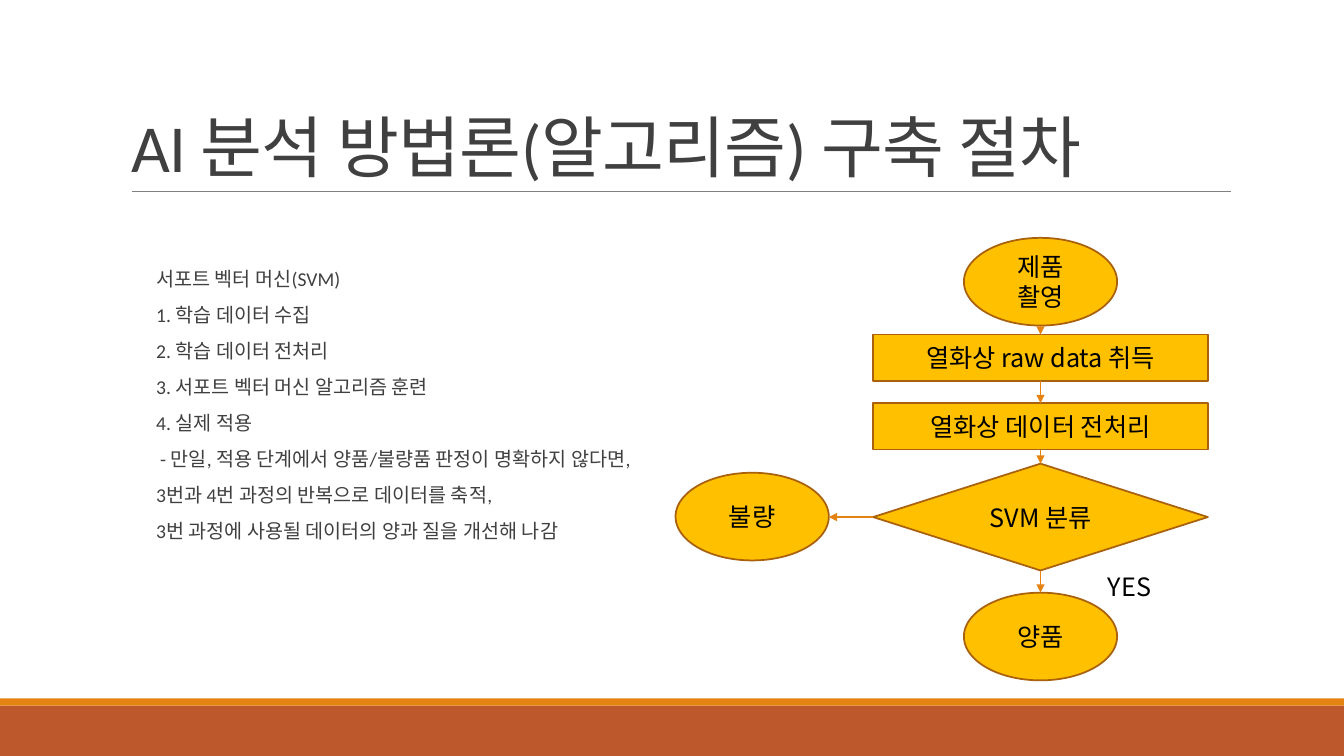
from lxml import etree
from pptx import Presentation
from pptx import util as u
from pptx.dml.color import RGBColor
from pptx.enum import shapes, text
from pptx.oxml.ns import qn

HUES = {"rust": "BD582C", "orange": "E48312", "gold": "FFC000", "edge": "A9610D",
        "rule": "808080", "ink": "404040", "black": "000000"}
LATIN, KOREAN = "Calibri", "Noto Sans CJK KR"
MID = 10.32
KIND = shapes.MSO_SHAPE
STEPS = [
    "서포트 벡터 머신(SVM)",
    "1. 학습 데이터 수집",
    "2. 학습 데이터 전처리",
    "3. 서포트 벡터 머신 알고리즘 훈련",
    "4. 실제 적용",
    "- 만일, 적용 단계에서 양품/불량품 판정이 명확하지 않다면,",
    "3번과 4번 과정의 반복으로 데이터를 축적,",
    "3번 과정에 사용될 데이터의 양과 질을 개선해 나감",
]


def hue(name):
    """Return the colour of that name."""
    return RGBColor.from_string(HUES[name])


def write(frame, lines, size=18, font=KOREAN, color="black", align=None,
          anchor=text.MSO_ANCHOR.TOP, lead=None, before=0, after=0, track=0):
    """Fill a text frame with one paragraph per line."""
    frame.word_wrap = True
    frame.auto_size = text.MSO_AUTO_SIZE.NONE
    frame.vertical_anchor = anchor
    for n, line in enumerate(lines):
        para = frame.paragraphs[0] if n == 0 else frame.add_paragraph()
        para.alignment = align
        para.line_spacing = lead
        para.space_before = u.Pt(before if n else 0)
        para.space_after = u.Pt(after)
        run = para.add_run()
        run.text = line
        run.font.size = u.Pt(size)
        run.font.name = font
        run.font.color.rgb = hue(color)
        props = run.font._element
        etree.SubElement(props, qn("a:ea")).set("typeface", KOREAN)
        if track:
            props.set("spc", str(track))


def label(slide, lines, x, y, w, h, **form):
    """Add a text box and return its frame."""
    box = slide.shapes.add_textbox(*map(u.Inches, (x, y, w, h)))
    write(box.text_frame, lines, **form)
    return box.text_frame


def block(slide, kind, x, y, w, h, fill, edge=None):
    """Add a filled preset shape."""
    shape = slide.shapes.add_shape(kind, *map(u.Inches, (x, y, w, h)))
    shape.shadow.inherit = False
    shape.fill.solid()
    shape.fill.fore_color.rgb = hue(fill)
    if edge:
        shape.line.color.rgb = hue(edge)
        shape.line.width = u.Pt(1.25)
    else:
        shape.line.fill.background()
    return shape


def node(slide, kind, lines, y, w, h, mid=MID):
    """Add a flow chart node centred on mid."""
    shape = block(slide, kind, mid - w / 2, y, w, h, "gold", "edge")
    write(shape.text_frame, lines, align=text.PP_ALIGN.CENTER,
          anchor=text.MSO_ANCHOR.MIDDLE)
    return shape


def line(slide, start, end, color, width):
    """Add a straight line without a shadow."""
    wire = slide.shapes.add_connector(
        shapes.MSO_CONNECTOR.STRAIGHT, *map(u.Inches, start + end))
    wire.line.color.rgb = hue(color)
    wire.line.width = u.Pt(width)
    etree.SubElement(wire._element.spPr, qn("a:effectLst"))
    return wire


def arrow(slide, start, end, source=None, target=None):
    """Add an arrow, joined to (shape, side) pairs where given."""
    wire = line(slide, start, end, "orange", 1)
    tail = etree.SubElement(wire.line._get_or_add_ln(), qn("a:tailEnd"))
    tail.set("type", "triangle")
    if source:
        wire.begin_connect(*source)
    if target:
        wire.end_connect(*target)


def frame(slide):
    """Add the title, its rule and the bottom bands."""
    block(slide, KIND.RECTANGLE, 0, 7, 13.33, 0.5, "rust")
    block(slide, KIND.RECTANGLE, 0, 6.93, 13.33, 0.07, "orange")
    line(slide, (1.31, 1.9), (12.21, 1.9), "rule", 0.5)
    title = slide.shapes.title
    title.left, title.top, title.width, title.height = map(
        u.Inches, (1.2, 0.31, 11, 1.59))
    write(title.text_frame, ["AI 분석 방법론(알고리즘) 구축 절차"], size=48, font=LATIN,
          color="ink", align=text.PP_ALIGN.LEFT, anchor=text.MSO_ANCHOR.BOTTOM,
          lead=0.85, track=-50)


def steps(slide):
    """Add the list of steps with the remark set in."""
    body = label(slide, STEPS, 1.45, 2.66, 8.71, 2.95, size=14, font=LATIN,
                 color="ink", lead=0.7, before=12, after=2)
    body.margin_right = 0
    for para in body.paragraphs:
        if para.text.startswith("-"):
            para._p.get_or_add_pPr().set("indent", str(u.Inches(0.04)))


def flow(slide):
    """Add the flow chart from shooting to the verdict."""
    node(slide, KIND.OVAL, ["제품", "촬영"], 2.36, 1.52, 0.87)
    raw = node(slide, KIND.RECTANGLE, ["열화상 raw data 취득"], 3.32, 3.32, 0.46)
    prep = node(slide, KIND.RECTANGLE, ["열화상 데이터 전처리"], 4, 3.32, 0.46)
    node(slide, KIND.OVAL, ["불량"], 4.69, 1.52, 0.87, mid=7.46)
    good = node(slide, KIND.OVAL, ["양품"], 5.88, 1.52, 0.87)
    sort = node(slide, KIND.DIAMOND, ["SVM 분류"], 4.6, 3.32, 1.06)
    arrow(slide, (MID, 3.23), (MID, 3.32), target=(raw, 0))
    arrow(slide, (MID, 3.78), (MID, 4), (raw, 2), (prep, 0))
    arrow(slide, (MID, 4.46), (MID, 4.6), (prep, 2), (sort, 0))
    arrow(slide, (MID, 5.66), (MID, 5.88), (sort, 2), (good, 0))
    arrow(slide, (8.66, 5.13), (8.22, 5.13), source=(sort, 1))
    label(slide, ["YES"], 10.89, 5.62, 1.15, 0.3)


def main():
    """Build and save the slide."""
    deck = Presentation()
    deck.slide_width, deck.slide_height = u.Inches(13.33), u.Inches(7.5)
    slide = deck.slides.add_slide(deck.slide_layouts[5])
    frame(slide)
    steps(slide)
    flow(slide)
    deck.save("out.pptx")


if __name__ == "__main__":
    main()
